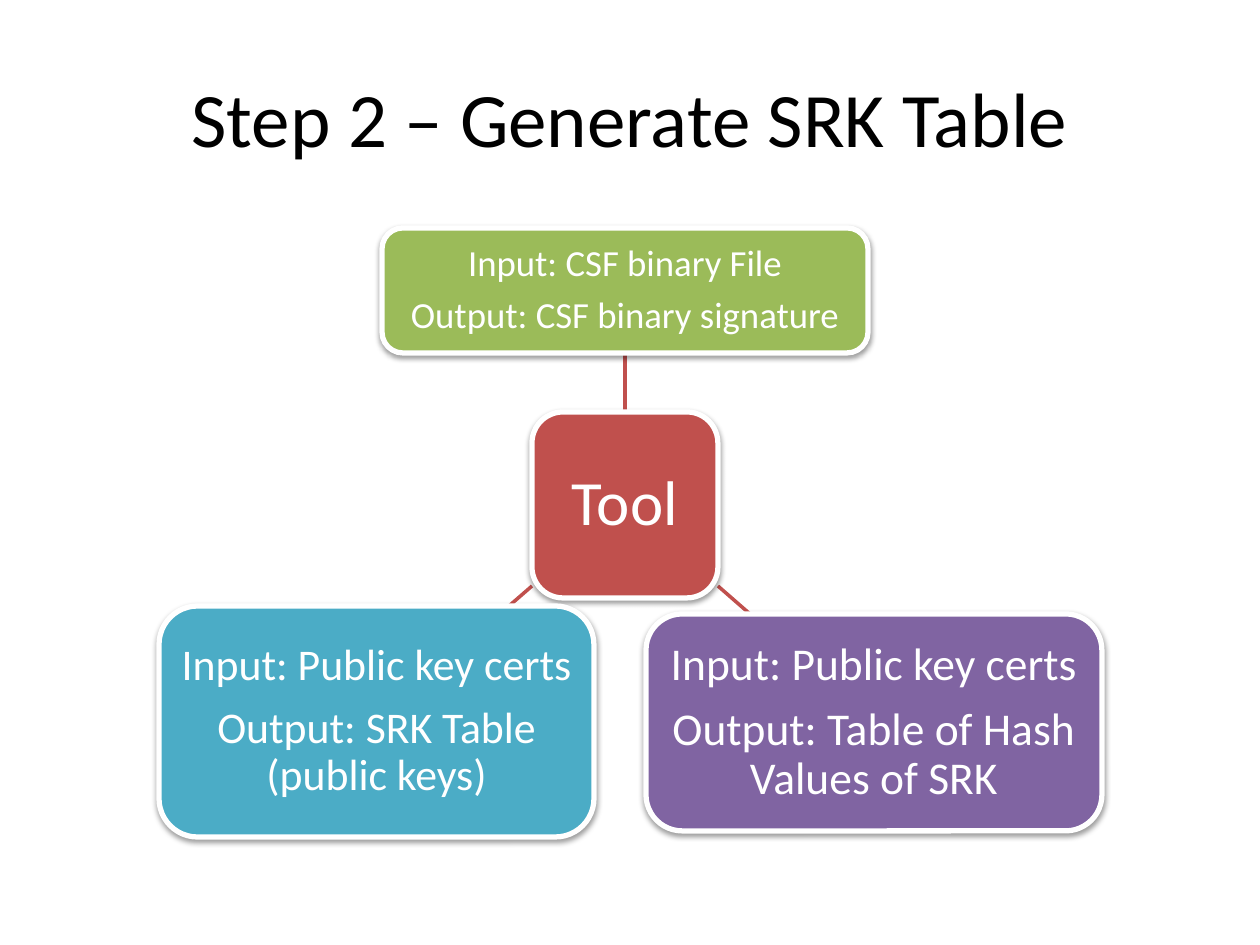
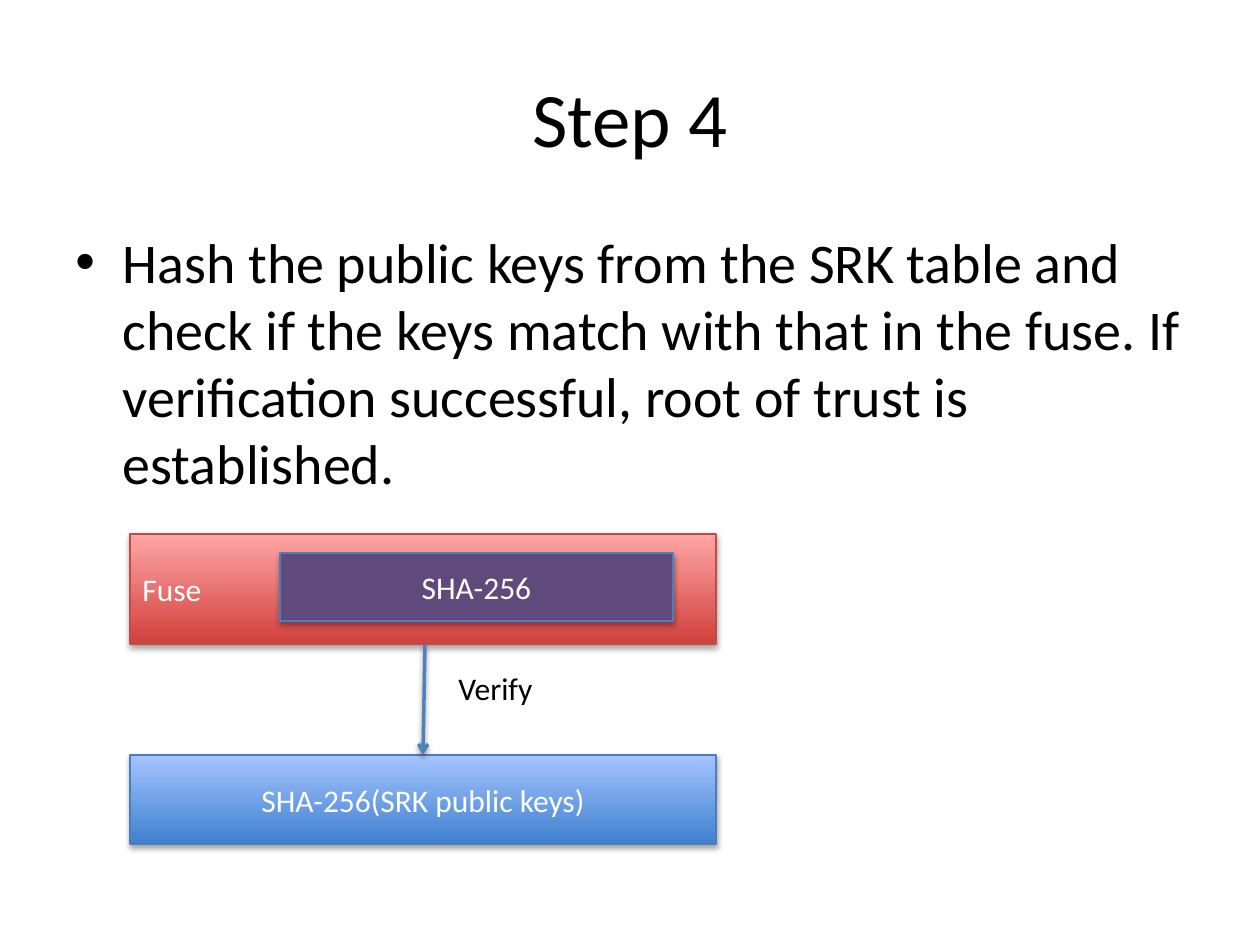
"""Builds two slides on code signing: the SRK table step and the root of trust check."""
import pptx
import pptx.util
import pptx.dml.color
import pptx.enum.shapes
import pptx.enum.text
import pptx.oxml
import pptx.oxml.ns

SCALE = 914400 / 126
FONT, WHITE, BLACK = "Calibri", "FFFFFF", "000000"
RED, BLUE = "C0504D", "4F81BD"
ROUND = pptx.enum.shapes.MSO_SHAPE.ROUNDED_RECTANGLE
RECT = pptx.enum.shapes.MSO_SHAPE.RECTANGLE
LEFT, MID = pptx.enum.text.PP_ALIGN.LEFT, pptx.enum.text.PP_ALIGN.CENTER

TITLES = ["Step 2 – Generate SRK Table", "Step 4"]
TITLE_AT = (63, 38, 1134, 157)
NODES = [
    ((532, 412, 186, 186), RED, 36, 13, ["Tool"]),
    ((382, 228, 486, 125), "9BBB59", 21, 8,
     ["Input: CSF binary File", "Output: CSF binary signature"]),
    ((646, 614, 456, 217), "8064A2", 26, 9,
     ["Input: Public key certs", "Output: Table of Hash Values of SRK"]),
    ((159, 606, 435, 231), "4BACC6", 25, 9,
     ["Input: Public key certs", "Output: SRK Table (public keys)"]),
]
LINKS = [(625, 412, 625, 353), (718, 586, 750, 614), (532, 586, 509, 606)]
BODY = ("Hash the public keys from the SRK table and check if the keys match with "
        "that in the fuse. If verification successful, root of trust is established.")
BODY_AT = (63, 221, 1134, 623)
BARS = [
    ((130, 534, 586, 110), ["D1403C", "FFA6A5"], "BF4C48", LEFT, "Fuse"),
    ((280, 553, 393, 68), ["604A7B"], "4B7EBC", MID, "SHA-256"),
    ((130, 755, 586, 89), ["3F80CE", "A4C4FF"], "4B7EBC", MID, "SHA-256(SRK public keys)"),
]
ARROW = (425, 645, 423, 755)
LABEL, LABEL_AT = "Verify", (446, 663, 102, 50)


def emu(px):
    return round(px * SCALE)


def rgb(code):
    return pptx.dml.color.RGBColor.from_string(code)


def add_xml(parent, body):
    parent.append(pptx.oxml.parse_xml(body.replace(" ", " " + pptx.oxml.ns.nsdecls("a") + " ", 1)))


def shade(shape, alpha, dist):
    add_xml(shape._element.spPr,
            f'<a:effectLst ><a:outerShdw blurRad="40000" dist="{dist}" dir="5400000" '
            f'rotWithShape="0"><a:srgbClr val="000000"><a:alpha val="{alpha}000"/>'
            '</a:srgbClr></a:outerShdw></a:effectLst>')


def write(shape, lines, size, color, align=MID, middle=True, wrap=True):
    frame = shape.text_frame
    frame.text = "\n".join(lines)
    frame.word_wrap = wrap
    anchor = pptx.enum.text.MSO_ANCHOR
    frame.vertical_anchor = anchor.MIDDLE if middle else anchor.TOP
    for para in frame.paragraphs:
        para.alignment = align
        for run in para.runs:
            run.font.name, run.font.size = FONT, pptx.util.Pt(size)
            run.font.color.rgb = rgb(color)
    return frame


def add_text(slide, place, *args, **style):
    return write(slide.shapes.add_textbox(*map(emu, place)), *args, **style)


def add_box(slide, kind, place, fills, edge, width, alpha, dist):
    box = slide.shapes.add_shape(kind, *map(emu, place))
    if len(fills) == 1:
        box.fill.solid()
        box.fill.fore_color.rgb = rgb(fills[0])
    else:
        box.fill.gradient()
        box.fill.gradient_angle = 90
        for stop, code, spot in zip(box.fill.gradient_stops, fills, (0, 1)):
            stop.color.rgb, stop.position = rgb(code), spot
    box.line.color.rgb, box.line.width = rgb(edge), pptx.util.Pt(width)
    shade(box, alpha, dist)
    return box


def add_line(slide, ends, color):
    line = slide.shapes.add_connector(pptx.enum.shapes.MSO_CONNECTOR.STRAIGHT, *map(emu, ends))
    line.line.color.rgb, line.line.width = rgb(color), pptx.util.Pt(2)
    return line


def add_slide(deck, title):
    slide = deck.slides.add_slide(deck.slide_layouts[6])
    add_text(slide, TITLE_AT, [title], 44, BLACK)
    return slide


def draw_table_step(slide):
    for ends in LINKS:
        add_xml(add_line(slide, ends, RED)._element.spPr, "<a:effectLst />")
    for place, fill, size, inset, lines in NODES:
        box = add_box(slide, ROUND, place, [fill], WHITE, 3, 38, 20000)
        frame = write(box, lines, size, WHITE)
        frame.margin_left = frame.margin_right = emu(inset)
        frame.margin_top = frame.margin_bottom = emu(inset)
        for para in frame.paragraphs:
            para.line_spacing = 0.9
            para.space_after = pptx.util.Pt(0.35 * size)


def draw_check_step(slide):
    para = add_text(slide, BODY_AT, [BODY], 32, BLACK, LEFT, middle=False).paragraphs[0]
    para.space_before = pptx.util.Pt(6.4)
    props = para._p.get_or_add_pPr()
    props.set("marL", "342900")
    props.set("indent", "-342900")
    add_xml(props, '<a:buFont typeface="Arial"/>')
    add_xml(props, '<a:buChar char="•"/>')
    for place, fills, edge, align, text in BARS:
        box = add_box(slide, RECT, place, fills, edge, 0.75, 35, 23000)
        write(box, [text], 18, WHITE, align)
    arrow = add_line(slide, ARROW, BLUE)
    add_xml(arrow.line._get_or_add_ln(), '<a:tailEnd type="arrow"/>')
    shade(arrow, 38, 20000)
    add_text(slide, LABEL_AT, [LABEL], 18, BLACK, LEFT, middle=False, wrap=False)


deck = pptx.Presentation()
deck.slide_width, deck.slide_height = emu(1260), emu(945)
for title, draw in zip(TITLES, (draw_table_step, draw_check_step)):
    draw(add_slide(deck, title))
deck.save("out.pptx")
